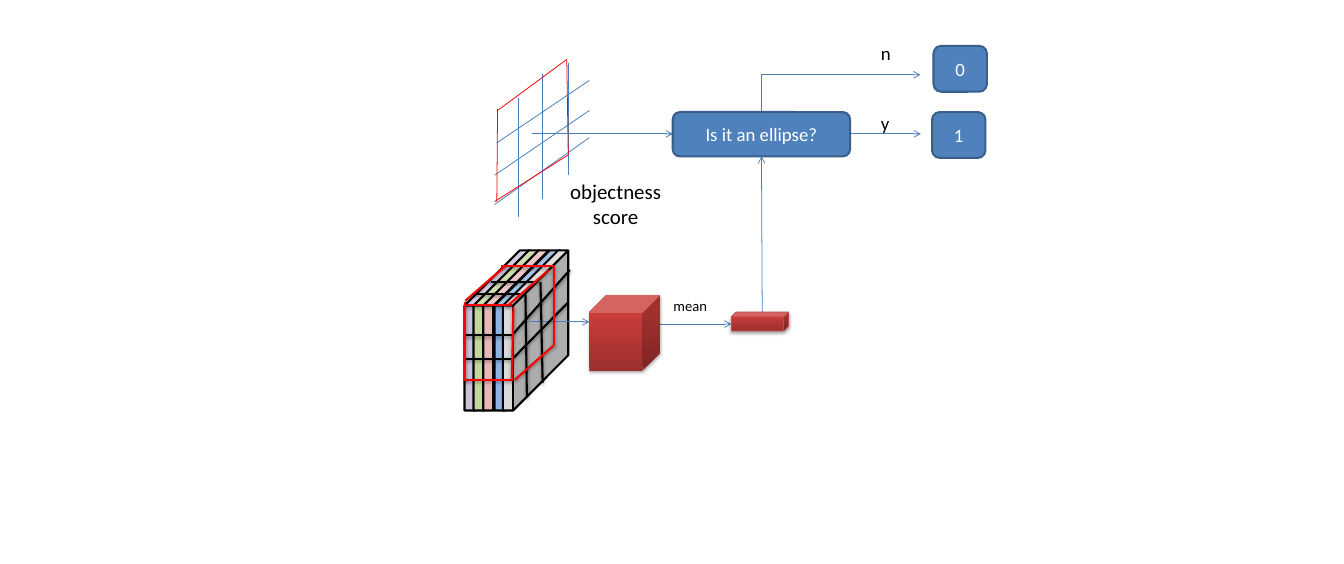
from typing import NamedTuple, Optional

import pptx
import pptx.dml.color
import pptx.enum.shapes
import pptx.enum.text
import pptx.oxml
import pptx.oxml.ns
import pptx.util

Pt = pptx.util.Pt
Shape = pptx.enum.shapes.MSO_SHAPE
Connector = pptx.enum.shapes.MSO_CONNECTOR
Align = pptx.enum.text.PP_ALIGN

BLACK, WHITE, RED = "000000", "FFFFFF", "FF0000"
FLOW_BLUE, BOX_BLUE, BOX_EDGE = "4B7EBC", "4F81BD", "3A5F8C"
CUBE_DARK, CUBE_LIGHT, CUBE_EDGE = "9C2F2D", "CB3E3A", "BF4C48"


class Stroke(NamedTuple):
    color: str
    width: float
    shadow: bool = False
    arrow: bool = False


class Segment(NamedTuple):
    x1: float
    y1: float
    x2: float
    y2: float


class Label(NamedTuple):
    text: str
    left: float
    top: float
    width: float
    height: float
    size: float
    align: Optional[Align] = None


class Box(NamedTuple):
    text: str
    left: float
    top: float
    width: float
    height: float


class Volume(NamedTuple):
    left: float
    top: float
    width: float
    height: float
    edge: Optional[str] = None


THIN = Stroke(FLOW_BLUE, 0.75)
THIN_RED = Stroke(RED, 0.75)
ARROW = Stroke(FLOW_BLUE, 0.75, arrow=True)
CELL = Stroke(BLACK, 2, shadow=True)
WINDOW = Stroke(RED, 2, shadow=True)

CHANNELS = [(444.96, "CCC1DA"), (453.6, "C3D69B"), (462.96, "E6B9B8"),
            (473.76, "8EB4E3"), (481.68, "D9D9D9")]

LINES = [
    # Arrow out of the feature volume
    (ARROW, [Segment(507.6, 308.2, 564.5, 308.2)]),
    # Objectness grid and its frame
    (THIN, [Segment(473.8, 167.8, 564.5, 105.8), Segment(519.1, 71.3, 519.1, 190.8),
            Segment(475.9, 136.8, 564.5, 77), Segment(473.8, 195.8, 564.5, 131.8),
            Segment(496.1, 94.3, 496.1, 207.4), Segment(544.3, 60.5, 544.3, 167.8)]),
    (THIN_RED, [Segment(542.9, 56.9, 544.3, 148.3), Segment(476.6, 104.4, 475.9, 193),
                Segment(542.9, 56.9, 476.6, 105.8), Segment(544.3, 148.3, 473.8, 193)]),
    # Cells of the feature volume
    (CELL, [Segment(490.3, 321.1, 445, 321.1), Segment(498.2, 281.5, 452.9, 281.5),
            Segment(545.8, 258.5, 490.3, 321.1), Segment(504.7, 380.2, 503.3, 281.5),
            Segment(519.8, 366.5, 517.7, 270), Segment(544.3, 289.4, 491.8, 342.7),
            Segment(515.5, 270, 470.2, 270), Segment(490.3, 343.4, 445, 343.4)]),
    # Selected window in the volume
    (WINDOW, [Segment(490.3, 292.3, 445, 292.3), Segment(491, 363.6, 445.7, 363.6),
              Segment(530.6, 254.9, 480.2, 254.9), Segment(530.6, 330.5, 530.6, 254.9),
              Segment(486.7, 292.3, 525.6, 258.5), Segment(490.3, 363.6, 491.8, 293.8),
              Segment(493.2, 363.6, 530.6, 330.5), Segment(445.7, 365, 445.7, 289.4),
              Segment(445.7, 288, 484.6, 254.2)]),
    # Flow from the window to the decision
    (ARROW, [Segment(632.2, 310.3, 700.6, 310.3), Segment(730.1, 298.8, 729.4, 149.8),
             Segment(509.8, 128.2, 644.4, 128.2), Segment(814.3, 128.2, 882, 128.2)]),
]

VOLUMES = [Volume(564.5, 282.2, 67.7, 72.7),
           Volume(700.6, 298.8, 54.7, 18, CUBE_EDGE)]

BOXES = [Box("Is it an ellipse?", 644.4, 107.3, 169.9, 42.5),
         Box("1", 892.8, 107.3, 51.1, 43.9),
         Box("0", 894.2, 43.9, 51.1, 43.9)]

LABELS = [Label("objectness\nscore", 530.6, 167.8, 118.1, 55.4, 20, Align.CENTER),
          Label("mean", 637.9, 280.8, 56.9, 24.5, 14),
          Label("y", 836.6, 103, 45.4, 28.8, 18),
          Label("n", 836.6, 36.7, 45.4, 28.8, 18)]


def rgb(color: str) -> pptx.dml.color.RGBColor:
    return pptx.dml.color.RGBColor.from_string(color)


def add_effects(properties, alpha: Optional[int] = None, distance: float = 1.6) -> None:
    """Replace the theme shadow by none, or by a soft one falling downwards."""
    for old in properties.findall(pptx.oxml.ns.qn("a:effectLst")):
        properties.remove(old)
    shadow = "" if alpha is None else (
        f'<a:outerShdw blurRad="{Pt(3.1)}" dist="{Pt(distance)}" dir="5400000" rotWithShape="0">'
        f'<a:srgbClr val="{BLACK}"><a:alpha val="{alpha * 1000}"/></a:srgbClr></a:outerShdw>')
    properties.append(pptx.oxml.parse_xml(
        f'<a:effectLst {pptx.oxml.ns.nsdecls("a")}>{shadow}</a:effectLst>'))


def add_line(page, segment: Segment, stroke: Stroke, kind=Connector.STRAIGHT):
    line = page.shapes.add_connector(kind, *map(Pt, segment))
    line.line.color.rgb = rgb(stroke.color)
    line.line.width = Pt(stroke.width)
    if stroke.arrow:
        line.line._get_or_add_ln().append(pptx.oxml.parse_xml(
            f'<a:tailEnd {pptx.oxml.ns.nsdecls("a")} type="arrow"/>'))
    add_effects(line.element.spPr, 38 if stroke.shadow else None)
    return line


def add_solid(page, kind: Shape, bounds, fill: str, edge: str):
    solid = page.shapes.add_shape(kind, *map(Pt, bounds))
    solid.shadow.inherit = False
    solid.fill.solid()
    solid.fill.fore_color.rgb = rgb(fill)
    solid.line.color.rgb = rgb(edge)
    solid.line.width = Pt(2)
    return solid


def add_volume(page, volume: Volume) -> None:
    cube = page.shapes.add_shape(Shape.CUBE, *map(Pt, volume[:4]))
    cube.fill.gradient()
    cube.fill.gradient_angle = 90
    for stop, color, position in zip(cube.fill.gradient_stops, (CUBE_DARK, CUBE_LIGHT), (0, 0.8)):
        stop.color.rgb = rgb(color)
        stop.position = position
    if volume.edge:
        cube.line.color.rgb = rgb(volume.edge)
        cube.line.width = Pt(0.75)
    else:
        cube.line.fill.background()
    add_effects(cube.element.spPr, 35, 1.8)


def write(frame, text: str, size: float, color: str, align: Optional[Align]) -> None:
    frame.text = text
    frame.word_wrap = True
    for para in frame.paragraphs:
        para.alignment = align
        for span in para.runs:
            span.font.name = "Calibri"
            span.font.size = Pt(size)
            span.font.color.rgb = rgb(color)


def add_box(page, box: Box) -> None:
    shape = add_solid(page, Shape.ROUNDED_RECTANGLE, box[1:], BOX_BLUE, BOX_EDGE)
    shape.text_frame.vertical_anchor = pptx.enum.text.MSO_ANCHOR.MIDDLE
    write(shape.text_frame, box.text, 18, WHITE, Align.CENTER)


def add_label(page, label: Label) -> None:
    frame = page.shapes.add_textbox(*map(Pt, label[1:5])).text_frame
    write(frame, label.text, label.size, BLACK, label.align)
    frame.auto_size = pptx.enum.text.MSO_AUTO_SIZE.SHAPE_TO_FIT_TEXT


def main() -> None:
    deck = pptx.Presentation()
    deck.slide_width, deck.slide_height = Pt(1287.36), Pt(540)
    page = deck.slides.add_slide(deck.slide_layouts[6])

    # Feature volume, one slab per channel
    for left, color in CHANNELS:
        slab = add_solid(page, Shape.CUBE, (left, 239.76, 62.64, 153.36), color, BLACK)
        slab.adjustments[0] = 0.845

    # Grids and arrows
    for stroke, segments in LINES:
        for segment in segments:
            add_line(page, segment, stroke)

    # One-bend arrow to "0": a quarter turn makes it rise, then go right
    bend = add_line(page, Segment(822.96, 165.6, 787.68, 12.96), ARROW, Connector.ELBOW)
    bend.element.spPr.prstGeom.set("prst", "bentConnector2")
    bend.element.spPr.xfrm.set("rot", "5400000")

    # Pooled volumes, decision boxes and labels
    for volume in VOLUMES:
        add_volume(page, volume)
    for box in BOXES:
        add_box(page, box)
    for label in LABELS:
        add_label(page, label)

    deck.save("out.pptx")


if __name__ == "__main__":
    main()
